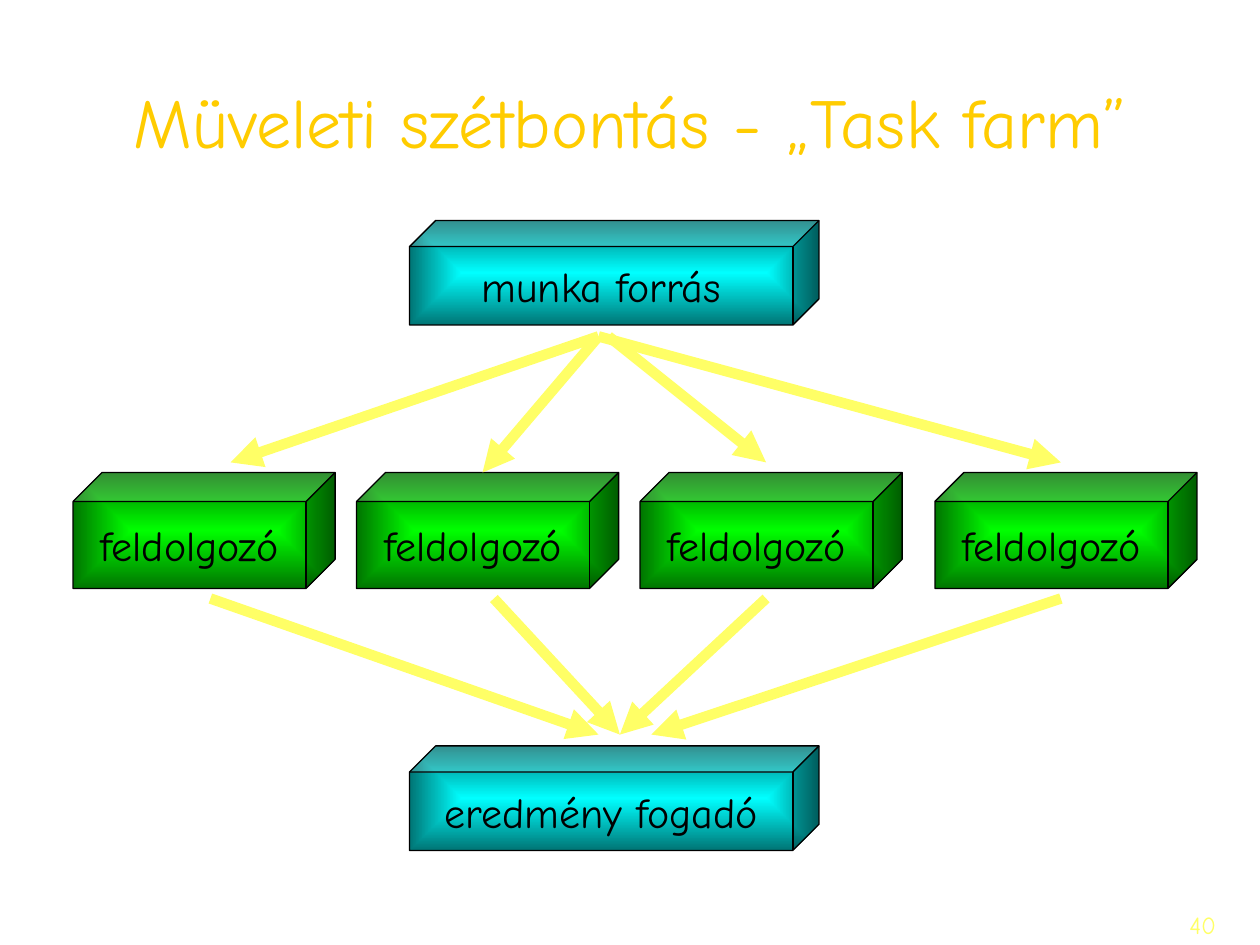
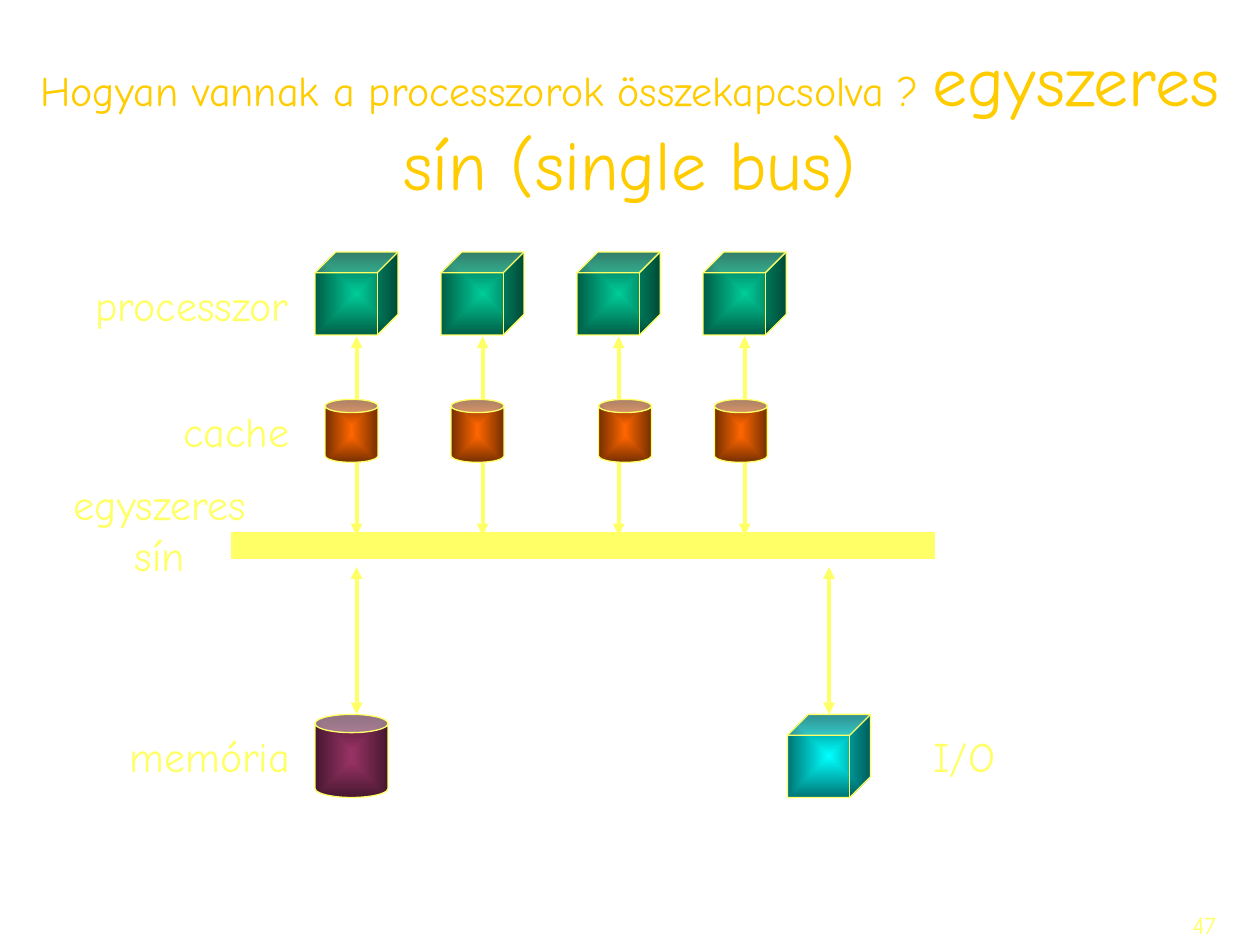
from dataclasses import dataclass

from lxml import etree
from pptx import Presentation
from pptx.dml.color import RGBColor
from pptx.enum import shapes as es, text as et
from pptx.oxml import ns, parse_xml
from pptx.util import Inches, Pt


@dataclass(frozen=True)
class Theme:
    font: str = "Comic Neue"
    gold: str = "FFCC00"
    yellow: str = "FFFF66"
    black: str = "000000"
    cyan: str = "00FFFF"
    green: str = "00FF00"
    teal: str = "00CC99"
    orange: str = "FF6600"
    plum: str = "993366"
    dim: float = 0.46
    head: int = 40
    body: int = 24
    foot: int = 14
    edge: float = 0.75
    thin: float = 2.25
    thick: float = 6
    bus: float = 15


@dataclass(frozen=True)
class Box:
    left: float
    top: float
    wide: float
    high: float

    def sub(self, x, y, w, h):
        return Box(self.left + x, self.top + y, w, h)

    def dot(self, x, y):
        return Inches(self.left + x), Inches(self.top + y)

    def rect(self):
        return [Inches(v) for v in (self.left, self.top, self.wide, self.high)]


T = Theme()
CUBE = es.MSO_SHAPE.CUBE
CAN = es.MSO_SHAPE.CAN
CENTER = et.PP_ALIGN.CENTER
HEAD = Box(0, 0.33, 10, 1.25)
FOOT = Box(7.67, 7.17, 2.08, 0.33)


def style(font, size, color):
    font.name = T.font
    font.size = Pt(size)
    font.color.rgb = RGBColor.from_string(color)


def write(frame, words, size, color, align):
    frame.text = words
    for para in frame.paragraphs:
        para.alignment = align
        style(para.font, size, color)


def shade(shape, color):
    dark = "".join(f"{round(v * T.dim):02X}" for v in bytes.fromhex(color))
    grad = parse_xml(
        f'<a:gradFill {ns.nsdecls("a")} rotWithShape="0"><a:gsLst>'
        f'<a:gs pos="0"><a:srgbClr val="{color}"/></a:gs>'
        f'<a:gs pos="100000"><a:srgbClr val="{dark}"/></a:gs></a:gsLst>'
        '<a:path path="rect"><a:fillToRect l="50000" t="50000" '
        'r="50000" b="50000"/></a:path></a:gradFill>')
    shape.fill.solid()
    props = shape._element.spPr
    props.replace(props.find(ns.qn("a:solidFill")), grad)


def solid(slide, kind, box, color, edge, words=""):
    shape = slide.shapes.add_shape(kind, *box.rect())
    shape.adjustments[0] = 0.25
    shape.shadow.inherit = False
    shade(shape, color)
    shape.line.color.rgb = RGBColor.from_string(edge)
    shape.line.width = Pt(T.edge)
    if words:
        frame = shape.text_frame
        frame.word_wrap = False
        frame.vertical_anchor = et.MSO_ANCHOR.MIDDLE
        write(frame, words, T.body, T.black, CENTER)


def line(slide, start, end, width, heads=()):
    link = slide.shapes.add_connector(es.MSO_CONNECTOR.STRAIGHT, *start, *end)
    link.line.color.rgb = RGBColor.from_string(T.yellow)
    link.line.width = Pt(width)
    for head in heads:
        etree.SubElement(link.line._get_or_add_ln(), ns.qn(f"a:{head}"), type="triangle")
    etree.SubElement(link._element.spPr, ns.qn("a:effectLst"))


def label(slide, box, words, align=et.PP_ALIGN.LEFT):
    frame = slide.shapes.add_textbox(*box.rect()).text_frame
    frame.word_wrap = False
    frame.auto_size = et.MSO_AUTO_SIZE.NONE
    write(frame, words, T.body, T.yellow, align)


def start(deck, runs, page):
    slide = deck.slides.add_slide(deck.slide_layouts[5])
    title = slide.shapes.title
    title.left, title.top, title.width, title.height = HEAD.rect()
    frame = title.text_frame
    frame.auto_size = et.MSO_AUTO_SIZE.NONE
    frame.vertical_anchor = et.MSO_ANCHOR.MIDDLE
    para = frame.paragraphs[0]
    para.alignment = CENTER
    for words, size in runs:
        run = para.add_run()
        run.text = words
        style(run.font, size, T.gold)
    foot = slide.shapes.add_textbox(*FOOT.rect()).text_frame
    foot.word_wrap = True
    write(foot, page, T.foot, T.yellow, et.PP_ALIGN.RIGHT)
    return slide


def farm(slide, box):
    for y, words in ((0, "munka forrás"), (4.17, "eredmény fogadó")):
        solid(slide, CUBE, box.sub(2.67, y, 3.25, 0.83), T.cyan, T.black, words)
    flows = (
        (0, 4.17, 1.25, 1.92, 1.09, 4.17),
        (2.25, 4.17, 3.25, 2, 3.34, 4.34),
        (4.5, 4.25, 5.5, 1.92, 5.5, 4.34),
        (6.84, 4.17, 7.84, 1.92, 7.84, 4.59),
    )
    for x, source, into, low, out, sink in flows:
        solid(slide, CUBE, box.sub(x, 2, 2.08, 0.92), T.green, T.black, "feldolgozó")
        line(slide, box.dot(source, 0.92), box.dot(into, low), T.thick, ["tailEnd"])
        line(slide, box.dot(out, 3), box.dot(sink, 4.08), T.thick, ["tailEnd"])


def bus(slide, box):
    both = "headEnd", "tailEnd"
    side = 0.66
    for cpu, cache in ((2, 2.08), (3, 3.08), (4.08, 4.25), (5.08, 5.17)):
        mid = cpu + side / 2
        solid(slide, CUBE, box.sub(cpu, 0, side, side), T.teal, T.yellow)
        line(slide, box.dot(mid, 0.67), box.dot(mid, 2.25), T.thin, both)
        solid(slide, CAN, box.sub(cache, 1.17, 0.42, 0.5), T.orange, T.yellow)
    line(slide, box.dot(1.33, 2.33), box.dot(6.92, 2.33), T.bus)
    for kind, x, wide, color in ((CAN, 2, 0.58, T.plum), (CUBE, 5.75, side, T.cyan)):
        mid = x + side / 2
        line(slide, box.dot(mid, 2.5), box.dot(mid, 3.67), T.thin, both)
        solid(slide, kind, box.sub(x, 3.67, wide, side), color, T.yellow)
    for x, y, wide, words in (
        (0.16, 0.17, 1.8, "processzor"),
        (0.86, 1.17, 1.1, "cache"),
        (0.43, 3.75, 1.53, "memória"),
        (6.81, 3.75, 0.75, "I/O"),
    ):
        label(slide, box.sub(x, y, wide, 0.5), words)
    label(slide, box.sub(-0.05, 1.75, 1.64, 0.9), "egyszeres\nsín", CENTER)


def main():
    deck = Presentation()
    deck.slide_width, deck.slide_height = Inches(10), Inches(7.5)
    farm(start(deck, [("Müveleti szétbontás - „Task farm”", T.head)], "40"),
         Box(0.58, 1.75, 8.92, 5))
    runs = [("Hogyan vannak a processzorok összekapcsolva ? ", T.body),
            ("egyszeres sín (single bus)", T.head)]
    bus(start(deck, runs, "47"), Box(0.5, 2, 7.5, 4.33))
    deck.save("out.pptx")


if __name__ == "__main__":
    main()
